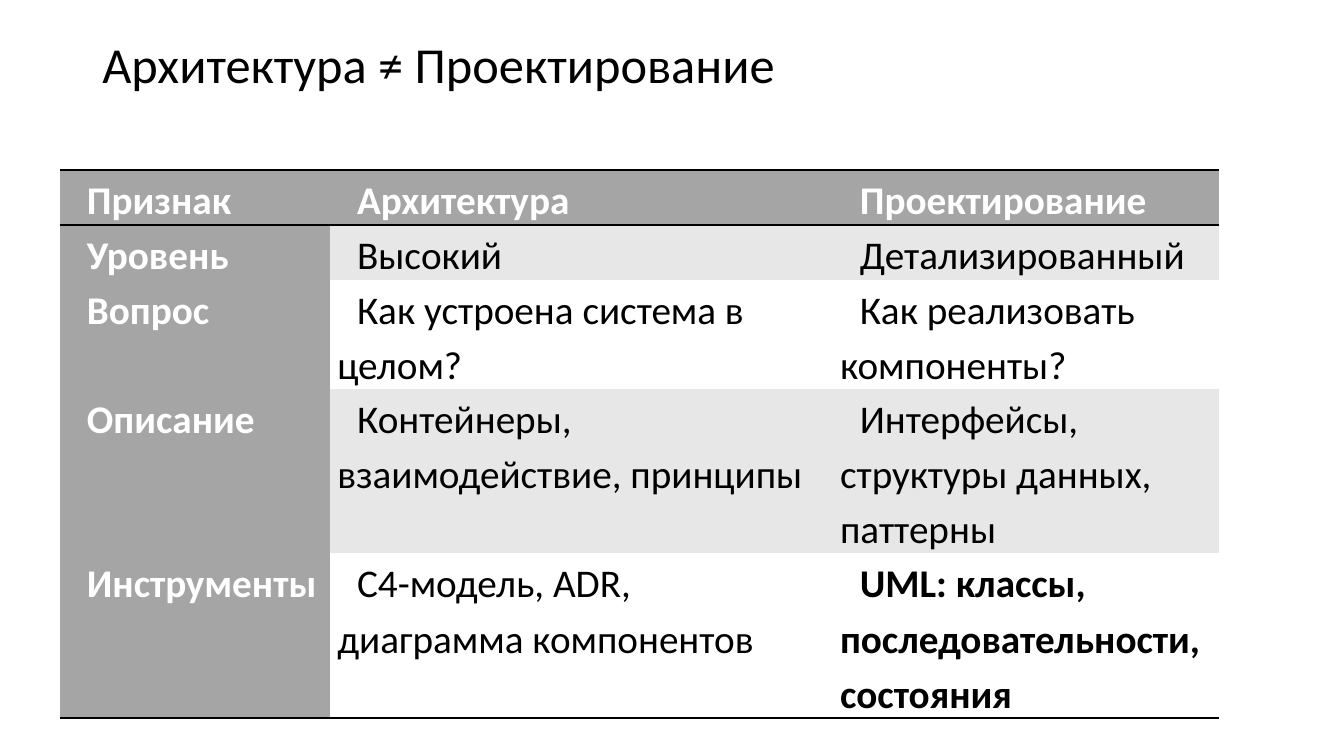
"""Build a slide with a table comparing architecture and design."""
import typing

import lxml.etree
import pptx
import pptx.dml.color
import pptx.enum.text
import pptx.oxml.ns
import pptx.table
import pptx.text.text
import pptx.util

Cm = pptx.util.Cm
Pt = pptx.util.Pt
Color = pptx.dml.color.RGBColor
Align = pptx.enum.text.PP_ALIGN

BLACK = Color(0x00, 0x00, 0x00)
WHITE = Color(0xFF, 0xFF, 0xFF)
GRAY = Color(0xA5, 0xA5, 0xA5)
PALE = Color(0xE7, 0xE7, 0xE7)
FONT = "Calibri"
PLAIN = "{2D5ABB26-0587-4C30-8999-92F81FD0307C}"
WIDTHS = (6.81, 12.67, 9.73)
LINE = 1.38


class Row(typing.NamedTuple):
    cells: tuple[str, str, str]
    lines: int


ROWS = (
    Row(("Признак", "Архитектура", "Проектирование"), 1),
    Row(("Уровень", "Высокий", "Детализированный"), 1),
    Row(("Вопрос", "Как устроена система в целом?", "Как реализовать компоненты?"), 2),
    Row(("Описание", "Контейнеры, взаимодействие, принципы",
         "Интерфейсы, структуры данных, паттерны"), 3),
    Row(("Инструменты", "C4-модель, ADR, диаграмма компонентов",
         "UML: классы, последовательности, состояния"), 3),
)
LAST = len(ROWS) - 1


def style(para: pptx.text.text._Paragraph, size: int, color: Color, bold: bool) -> None:
    """Format every run of a paragraph."""
    for run in para.runs:
        run.font.name = FONT
        run.font.size = Pt(size)
        run.font.bold = bold
        run.font.color.rgb = color


def rule(cell: pptx.table._Cell, side: str) -> None:
    """Draw a black border on one side of a cell."""
    qn = pptx.oxml.ns.qn
    props = cell._tc.get_or_add_tcPr()
    line = lxml.etree.SubElement(props, qn(f"a:{side}"), w=str(Pt(2)))
    fill = lxml.etree.SubElement(line, qn("a:solidFill"))
    lxml.etree.SubElement(fill, qn("a:srgbClr"), val=str(BLACK))


def draw_cell(cell: pptx.table._Cell, text: str, row: int, col: int) -> None:
    """Fill and format one table cell."""
    head = row == 0 or col == 0
    cell.margin_left = cell.margin_right = Cm(0.19)
    cell.margin_top = cell.margin_bottom = 0
    if row == 0:
        rule(cell, "lnT")
    if row in (0, LAST):
        rule(cell, "lnB")
    cell.fill.solid()
    cell.fill.fore_color.rgb = GRAY if head else PALE if row % 2 else WHITE
    para = cell.text_frame.paragraphs[0]
    para.text = text
    para.line_spacing = 1.15
    para.alignment = Align.JUSTIFY if row == 1 or (row and col == 0) else Align.LEFT
    props = para._p.get_or_add_pPr()
    props.set("marL", "0")
    props.set("indent", str(Cm(0.5)))
    style(para, 28, WHITE if head else BLACK, head or (row, col) == (LAST, 2))


def main() -> None:
    """Create and save the slide."""
    deck = pptx.Presentation()
    deck.slide_width, deck.slide_height = Cm(33.87), Cm(19.05)
    slide = deck.slides.add_slide(deck.slide_layouts[6])

    title = slide.shapes.add_textbox(Cm(2.33), Cm(0.69), Cm(29.21), Cm(2.03))
    frame = title.text_frame
    frame.word_wrap = True
    frame.vertical_anchor = pptx.enum.text.MSO_ANCHOR.MIDDLE
    para = frame.paragraphs[0]
    para.text = "Архитектура ≠ Проектирование"
    para.line_spacing = 0.9
    style(para, 36, BLACK, False)

    high = LINE * sum(row.lines for row in ROWS)
    table = slide.shapes.add_table(len(ROWS), len(WIDTHS), Cm(1.5), Cm(4.29),
                                   Cm(sum(WIDTHS)), Cm(high)).table
    table.horz_banding = False
    table._tbl.tblPr.find(pptx.oxml.ns.qn("a:tableStyleId")).text = PLAIN
    for col, width in enumerate(WIDTHS):
        table.columns[col].width = Cm(width)
    for num, row in enumerate(ROWS):
        table.rows[num].height = Cm(LINE * row.lines)
        for col, text in enumerate(row.cells):
            draw_cell(table.cell(num, col), text, num, col)

    deck.save("out.pptx")


if __name__ == "__main__":
    main()
